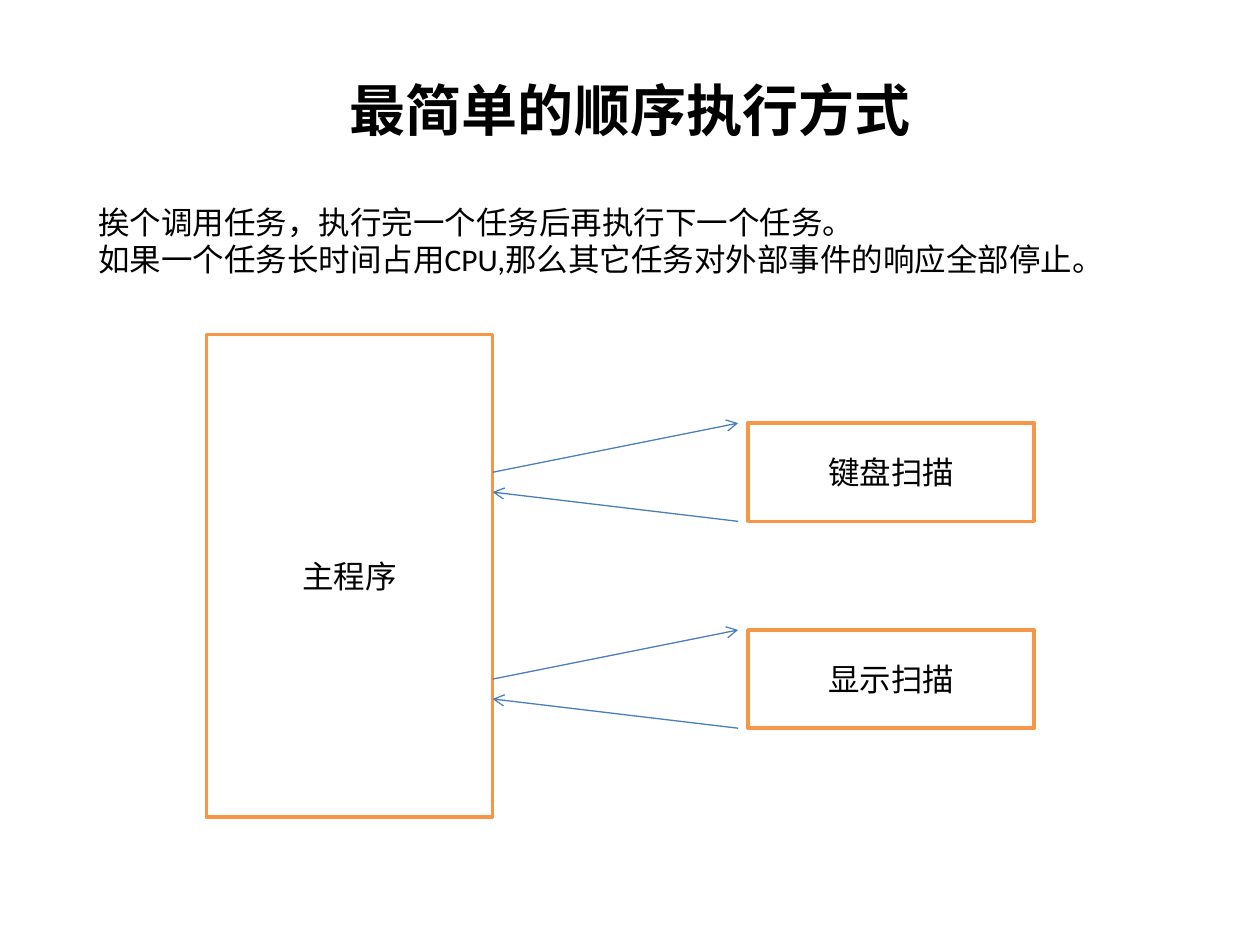
import pptx
import pptx.util
import pptx.dml.color
import pptx.enum.shapes
import pptx.enum.text
import pptx.oxml.ns
import lxml.etree

Cm = pptx.util.Cm
Pt = pptx.util.Pt
RGBColor = pptx.dml.color.RGBColor
PP_ALIGN = pptx.enum.text.PP_ALIGN
MSO_ANCHOR = pptx.enum.text.MSO_ANCHOR
qn = pptx.oxml.ns.qn

BLACK = RGBColor(0x00, 0x00, 0x00)
WHITE = RGBColor(0xFF, 0xFF, 0xFF)
ORANGE = RGBColor(0xF7, 0x96, 0x46)
BLUE = RGBColor(0x4A, 0x7E, 0xBB)
FONT = "Calibri"

TITLE = "最简单的顺序执行方式"
DESCRIPTION = [
    "挨个调用任务，执行完一个任务后再执行下一个任务。",
    "如果一个任务长时间占用CPU,那么其它任务对外部事件的响应全部停止。",
]
MAIN_PROGRAM = "主程序"
TASKS = ["键盘扫描", "显示扫描"]

BOX_WIDTH = 5.77
MAIN_LEFT, MAIN_TOP, MAIN_HEIGHT = 4.16, 6.74, 9.73
MAIN_RIGHT = MAIN_LEFT + BOX_WIDTH
TASK_LEFT, TASK_TOP, TASK_HEIGHT, TASK_PITCH = 15.08, 8.53, 1.98, 4.17
ARROW_RIGHT = 14.88
CALL_OFFSET, RETURN_OFFSET = 0.99, 1.39


def write_text(frame, lines, size, bold=False, align=PP_ALIGN.LEFT,
               anchor=MSO_ANCHOR.TOP, wrap=False):
    frame.word_wrap = wrap
    frame.vertical_anchor = anchor
    for index, line in enumerate(lines):
        paragraph = frame.paragraphs[0] if index == 0 else frame.add_paragraph()
        paragraph.alignment = align
        paragraph.space_before = Pt(0)
        run = paragraph.add_run()
        run.text = line
        run.font.name = FONT
        run.font.size = Pt(size)
        run.font.bold = bold
        run.font.color.rgb = BLACK


def add_box(slide, label, left, top, height):
    shape = slide.shapes.add_shape(
        pptx.enum.shapes.MSO_SHAPE.RECTANGLE,
        Cm(left), Cm(top), Cm(BOX_WIDTH), Cm(height))
    shape.shadow.inherit = False
    shape.fill.solid()
    shape.fill.fore_color.rgb = WHITE
    shape.line.color.rgb = ORANGE
    shape.line.width = Pt(2)
    write_text(shape.text_frame, [label], 18, align=PP_ALIGN.CENTER,
               anchor=MSO_ANCHOR.MIDDLE, wrap=True)


def add_arrow(slide, start, end):
    connector = slide.shapes.add_connector(
        pptx.enum.shapes.MSO_CONNECTOR.STRAIGHT,
        *[Cm(value) for value in start + end])
    connector.line.color.rgb = BLUE
    connector.line.width = Pt(0.75)
    properties = connector._element.spPr
    line = properties.find(qn("a:ln"))
    lxml.etree.SubElement(line, qn("a:tailEnd"), type="arrow")
    lxml.etree.SubElement(properties, qn("a:effectLst"))


def main():
    presentation = pptx.Presentation()
    presentation.slide_width = Cm(25.4)
    presentation.slide_height = Cm(19.05)
    slide = presentation.slides.add_slide(presentation.slide_layouts[5])

    title = slide.shapes.title
    title.left, title.top, title.width, title.height = Cm(6.8), Cm(1.4), Cm(12.2), Cm(1.62)
    write_text(title.text_frame, [TITLE], 32, bold=True)

    description = slide.shapes.add_textbox(Cm(1.73), Cm(3.96), Cm(21.08), Cm(1.78))
    write_text(description.text_frame, DESCRIPTION, 18)
    description.text_frame.auto_size = pptx.enum.text.MSO_AUTO_SIZE.SHAPE_TO_FIT_TEXT

    add_box(slide, MAIN_PROGRAM, MAIN_LEFT, MAIN_TOP, MAIN_HEIGHT)
    for index, task in enumerate(TASKS):
        top = TASK_TOP + index * TASK_PITCH
        add_box(slide, task, TASK_LEFT, top, TASK_HEIGHT)
        add_arrow(slide, (MAIN_RIGHT, top + CALL_OFFSET), (ARROW_RIGHT, top))
        add_arrow(slide, (ARROW_RIGHT, top + TASK_HEIGHT),
                  (MAIN_RIGHT, top + RETURN_OFFSET))

    presentation.save("out.pptx")


if __name__ == "__main__":
    main()
